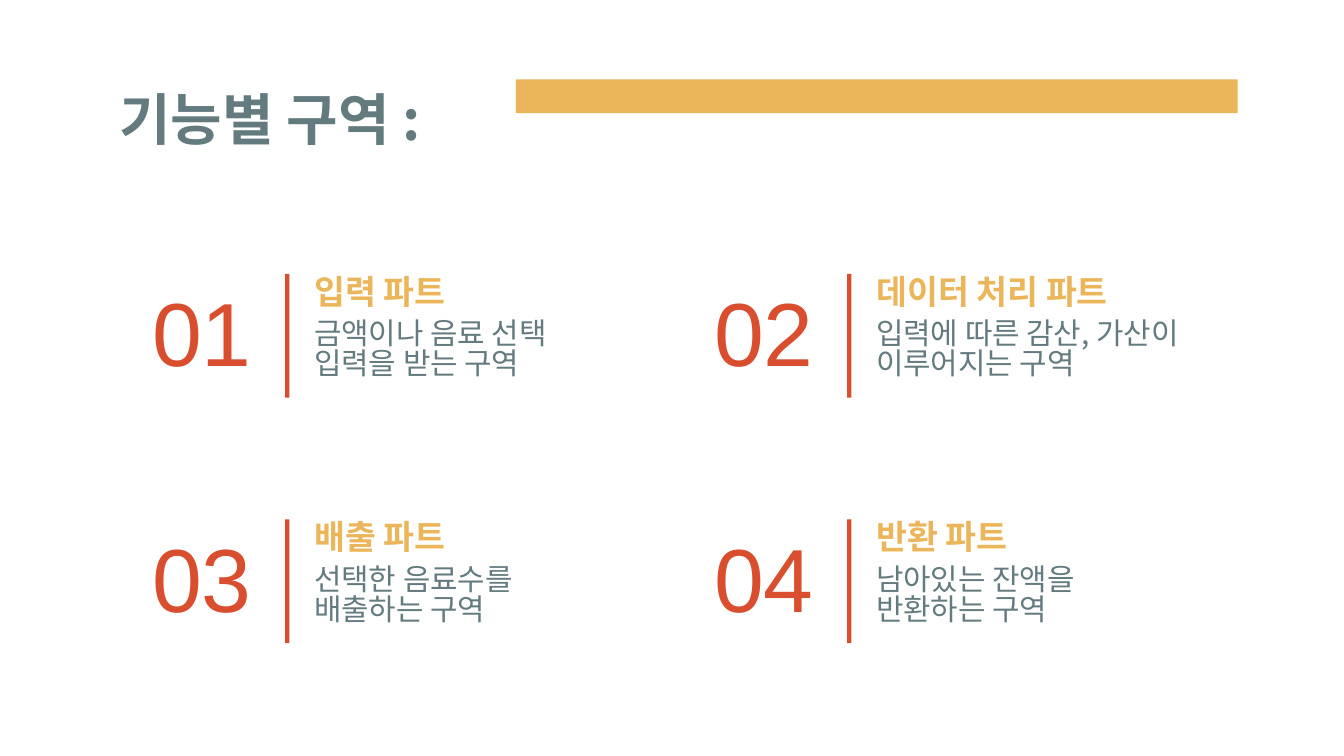
from lxml.etree import SubElement
from pptx import Presentation
from pptx.dml.color import RGBColor
from pptx.enum.shapes import MSO_SHAPE
from pptx.enum.text import MSO_ANCHOR, PP_ALIGN
from pptx.oxml.ns import qn
from pptx.util import Cm, Pt

YELLOW = RGBColor(0xEB, 0xB5, 0x5A)
SLATE = RGBColor(0x63, 0x7B, 0x7F)
RED = RGBColor(0xD8, 0x4E, 0x2E)
KOREAN_FONT = "Noto Sans CJK KR"
NUMBER_FONT = "Arial"

COLUMN_STEP = 10.62
ROW_STEP = 4.64
PARTS = [
    ("입력 파트", "금액이나 음료 선택 입력을 받는 구역"),
    ("데이터 처리 파트", "입력에 따른 감산, 가산이 이루어지는 구역"),
    ("배출 파트", "선택한 음료수를 배출하는 구역"),
    ("반환 파트", "남아있는 잔액을 반환하는 구역"),
]


def add_bar(page, left, top, width, height, color):
    bar = page.shapes.add_shape(
        MSO_SHAPE.RECTANGLE, Cm(left), Cm(top), Cm(width), Cm(height)
    )
    bar.shadow.inherit = False
    bar.fill.solid()
    bar.fill.fore_color.rgb = color
    bar.line.fill.background()


def add_text(page, text, left, top, width, height, size, color,
             font=KOREAN_FONT, bold=False, spacing=1.0,
             align=PP_ALIGN.LEFT, anchor=MSO_ANCHOR.TOP):
    box = page.shapes.add_textbox(Cm(left), Cm(top), Cm(width), Cm(height))
    frame = box.text_frame
    frame.word_wrap = True
    frame.vertical_anchor = anchor
    frame.margin_left = frame.margin_right = Cm(0.25)
    frame.margin_top = frame.margin_bottom = Cm(0.25)
    frame.text = text
    para = frame.paragraphs[0]
    para.alignment = align
    para.line_spacing = spacing
    span = para.runs[0]
    span.font.size = Pt(size)
    span.font.bold = bold
    span.font.color.rgb = color
    span.font.name = font
    SubElement(span._r.get_or_add_rPr(), qn("a:ea"), typeface=font)


def add_part(page, index, heading, description):
    row, column = divmod(index, 2)
    left = 2.44 + column * COLUMN_STEP
    top = 5.18 + row * ROW_STEP
    text_left = left + 3.25
    add_text(page, f"{index + 1:02}", left, top, 2.57, 2.34, 48, RED,
             font=NUMBER_FONT, align=PP_ALIGN.RIGHT, anchor=MSO_ANCHOR.BOTTOM)
    add_bar(page, left + 2.95, top, 0.08, 2.34, RED)
    add_text(page, heading, text_left, top - 0.18, 7.01, 0.94, 18, YELLOW,
             bold=True, spacing=0.83)
    add_text(page, description, text_left, top + 0.64, 6.35, 1.7, 16, SLATE,
             spacing=0.83)


def main():
    deck = Presentation()
    deck.slide_width = Cm(25.4)
    deck.slide_height = Cm(14.29)
    page = deck.slides.add_slide(deck.slide_layouts[6])
    add_bar(page, 9.75, 1.5, 13.64, 0.64, YELLOW)
    add_text(page, "기능별 구역 :", 2.01, 1.5, 8.31, 1.6, 30, SLATE,
             bold=True, spacing=0.9)
    for index, (heading, description) in enumerate(PARTS):
        add_part(page, index, heading, description)
    deck.save("out.pptx")


if __name__ == "__main__":
    main()
